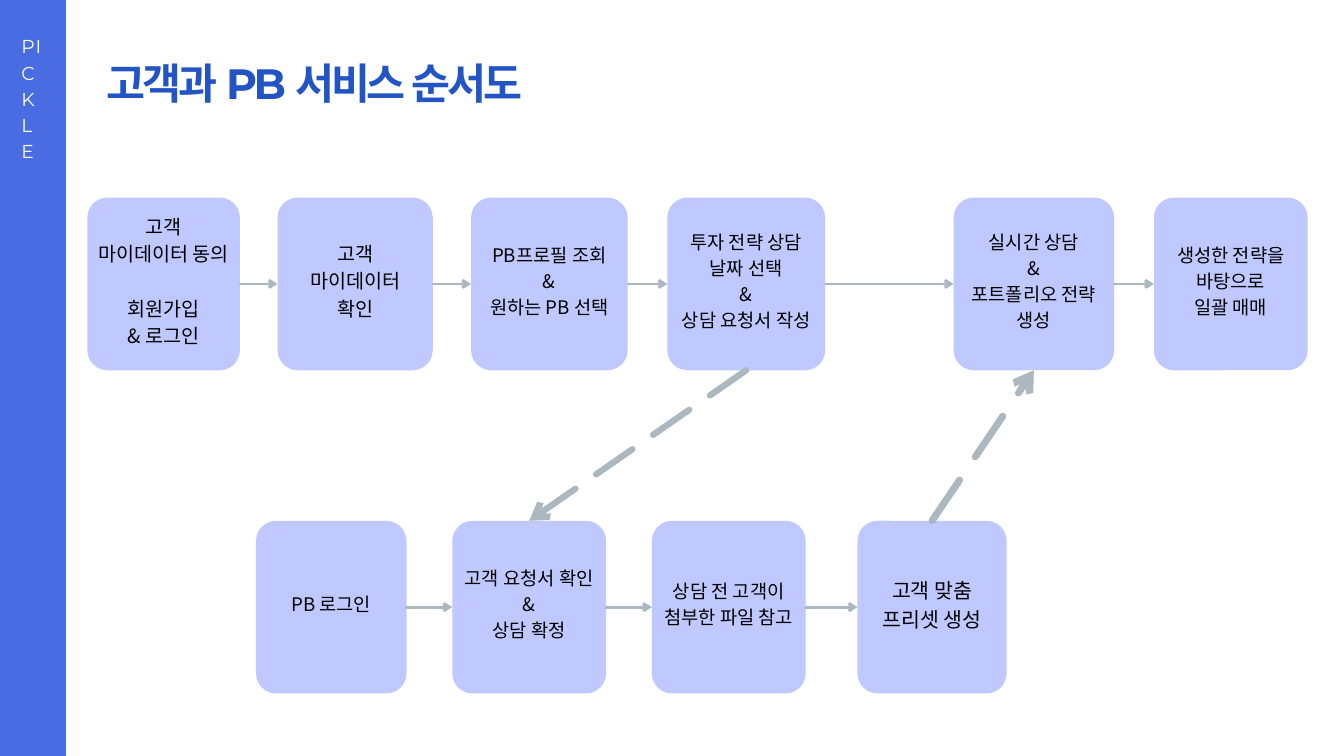
"""Draw the customer and PB service flowchart on one slide."""
from dataclasses import dataclass

from lxml import etree
from pptx import Presentation
from pptx.dml.color import RGBColor
from pptx.enum.dml import MSO_LINE
from pptx.enum.shapes import MSO_CONNECTOR, MSO_SHAPE
from pptx.enum.text import MSO_ANCHOR, PP_ALIGN
from pptx.oxml.ns import qn
from pptx.util import Inches, Pt

STRAIGHT = MSO_CONNECTOR.STRAIGHT
RECTANGLE = MSO_SHAPE.RECTANGLE
ROUNDED = MSO_SHAPE.ROUNDED_RECTANGLE
LONG_DASH = MSO_LINE.LONG_DASH
TOP, MIDDLE = MSO_ANCHOR.TOP, MSO_ANCHOR.MIDDLE
LEFT, CENTER = PP_ALIGN.LEFT, PP_ALIGN.CENTER
TOP_SITE, LEFT_SITE, BOTTOM_SITE, RIGHT_SITE = range(4)

COLORS = {
    "title": "2254C5",
    "sidebar": "496CE2",
    "box": "BFC9FF",
    "arrow": "ACB8C0",
    "text": "000000",
    "light": "FFFFFF",
}
LATIN_FONT, KOREAN_FONT = "Montserrat", "Noto Sans CJK KR"
CUSTOMER_ROW, PB_ROW = 2.94, 7.75
BOX_HEIGHT, CORNER, INSET, TEXT_LIFT = 2.57, 0.3, 0.06, 0.14


@dataclass
class Step:
    """A box of the flowchart; blocks of lines are set one line apart."""
    name: str
    left: float
    top: float
    width: float
    blocks: list[list[str]]
    size: float = 20


@dataclass
class Arrow:
    """An arrow between two named steps."""
    start: str
    end: str
    start_site: int = RIGHT_SITE
    end_site: int = LEFT_SITE
    weight: float = 3
    dashed: bool = False


STEPS = [
    Step("join", 1.3, CUSTOMER_ROW, 2.27,
         [["고객", "마이데이터 동의"], ["회원가입", "& 로그인"]], 21),
    Step("data", 4.13, CUSTOMER_ROW, 2.31, [["고객", "마이데이터", "확인"]], 21),
    Step("profile", 7.01, CUSTOMER_ROW, 2.33, [["PB프로필 조회", "&", "원하는 PB 선택"]]),
    Step("request", 9.93, CUSTOMER_ROW, 2.35,
         [["투자 전략 상담", "날짜 선택", "&", "상담 요청서 작성"]]),
    Step("consult", 14.19, CUSTOMER_ROW, 2.39, [["실시간 상담", "&", "포트폴리오 전략 생성"]]),
    Step("trade", 17.17, CUSTOMER_ROW, 2.29, [["생성한 전략을", "바탕으로", "일괄 매매"]]),
    Step("login", 3.81, PB_ROW, 2.24, [["PB 로그인"]]),
    Step("confirm", 6.73, PB_ROW, 2.29, [["고객 요청서 확인&", "상담 확정"]]),
    Step("files", 9.7, PB_ROW, 2.29, [["상담 전 고객이", "첨부한 파일 참고"]]),
    Step("preset", 12.76, PB_ROW, 2.22, [["고객 맞춤", "프리셋 생성"]], 22),
]
ROWS = [[step.name for step in STEPS if step.top == top] for top in (CUSTOMER_ROW, PB_ROW)]
ARROWS = [Arrow(start, end) for row in ROWS for start, end in zip(row, row[1:])] + [
    Arrow("request", "confirm", BOTTOM_SITE, TOP_SITE, 6.75, True),
    Arrow("preset", "consult", TOP_SITE, BOTTOM_SITE, 7.5, True),
]


def color(name: str) -> RGBColor:
    """Return a named colour."""
    return RGBColor.from_string(COLORS[name])


def write_text(shape, blocks: list[list[str]], *, size: float, leading: float,
               font: str = KOREAN_FONT, fill: str = "text", bold: bool = False,
               spacing: float = 0, align=CENTER, anchor=MIDDLE,
               inset: float = INSET, lift: float = 0) -> None:
    """Fill a shape with blocks of lines in one format."""
    frame = shape.text_frame
    frame.word_wrap = True
    frame.vertical_anchor = anchor
    frame.margin_left = frame.margin_right = frame.margin_top = Inches(inset)
    frame.margin_bottom = Inches(inset + lift)
    para = frame.paragraphs[0]
    for block_index, lines in enumerate(blocks):
        for line_index, line in enumerate(lines):
            if block_index or line_index:
                para = frame.add_paragraph()
            if block_index and not line_index:
                para.space_before = Pt(leading)
            para.alignment = align
            para.line_spacing = Pt(leading)
            span = para.add_run()
            span.text = line
            span.font.size = Pt(size)
            span.font.bold = bold
            span.font.name = font
            span.font.color.rgb = color(fill)
            properties = span.font._element
            properties.set("spc", str(round(spacing * 100)))
            latin = properties.find(qn("a:latin"))
            east_asian = etree.Element(qn("a:ea"), typeface=font)
            latin.addnext(east_asian)


def add_block(page, preset, left: float, top: float, width: float, height: float, fill: str):
    """Add a filled shape with neither outline nor shadow."""
    shape = page.shapes.add_shape(
        preset, Inches(left), Inches(top), Inches(width), Inches(height))
    shape.shadow.inherit = False
    shape.fill.solid()
    shape.fill.fore_color.rgb = color(fill)
    shape.line.fill.background()
    return shape


def add_label(page, text: str, left: float, top: float, width: float, height: float,
              **text_format) -> None:
    """Add a left-aligned text box without insets."""
    box = page.shapes.add_textbox(Inches(left), Inches(top), Inches(width), Inches(height))
    write_text(box, [[text]], font=LATIN_FONT, align=LEFT, anchor=TOP, inset=0, **text_format)


def add_step(page, step: Step):
    """Add a rounded flowchart box with its text."""
    box = add_block(page, ROUNDED, step.left, step.top, step.width, BOX_HEIGHT, "box")
    box.adjustments[0] = CORNER / step.width
    write_text(box, step.blocks, size=step.size, leading=step.size * 1.4, lift=TEXT_LIFT)
    return box


def add_arrow(page, arrow: Arrow, boxes: dict) -> None:
    """Connect two boxes with an arrow."""
    connector = page.shapes.add_connector(STRAIGHT, 0, 0, 0, 0)
    connector.begin_connect(boxes[arrow.start], arrow.start_site)
    connector.end_connect(boxes[arrow.end], arrow.end_site)
    connector.line.width = Pt(arrow.weight)
    connector.line.color.rgb = color("arrow")
    if arrow.dashed:
        connector.line.dash_style = LONG_DASH
    outline = connector.line._get_or_add_ln()
    outline.set("cap", "rnd")
    etree.SubElement(outline, qn("a:tailEnd"), type="arrow")
    etree.SubElement(connector._element.spPr, qn("a:effectLst"))


def main() -> None:
    """Build and save the deck."""
    deck = Presentation()
    deck.slide_width, deck.slide_height = Inches(20), Inches(11.25)
    page = deck.slides.add_slide(deck.slide_layouts[6])
    add_label(page, "고객과 PB 서비스 순서도", 1.58, 0.85, 6.44, 0.75,
              size=45.4, leading=54.4, fill="title", bold=True, spacing=-3.2)
    add_block(page, RECTANGLE, 0, 0, 0.98, 11.25, "sidebar")
    add_label(page, "PICKLE", 0.32, 0.47, 0.33, 2.83,
              size=20, leading=28, fill="light", spacing=1)
    boxes = {step.name: add_step(page, step) for step in STEPS}
    for arrow in ARROWS:
        add_arrow(page, arrow, boxes)
    deck.save("out.pptx")


if __name__ == "__main__":
    main()
